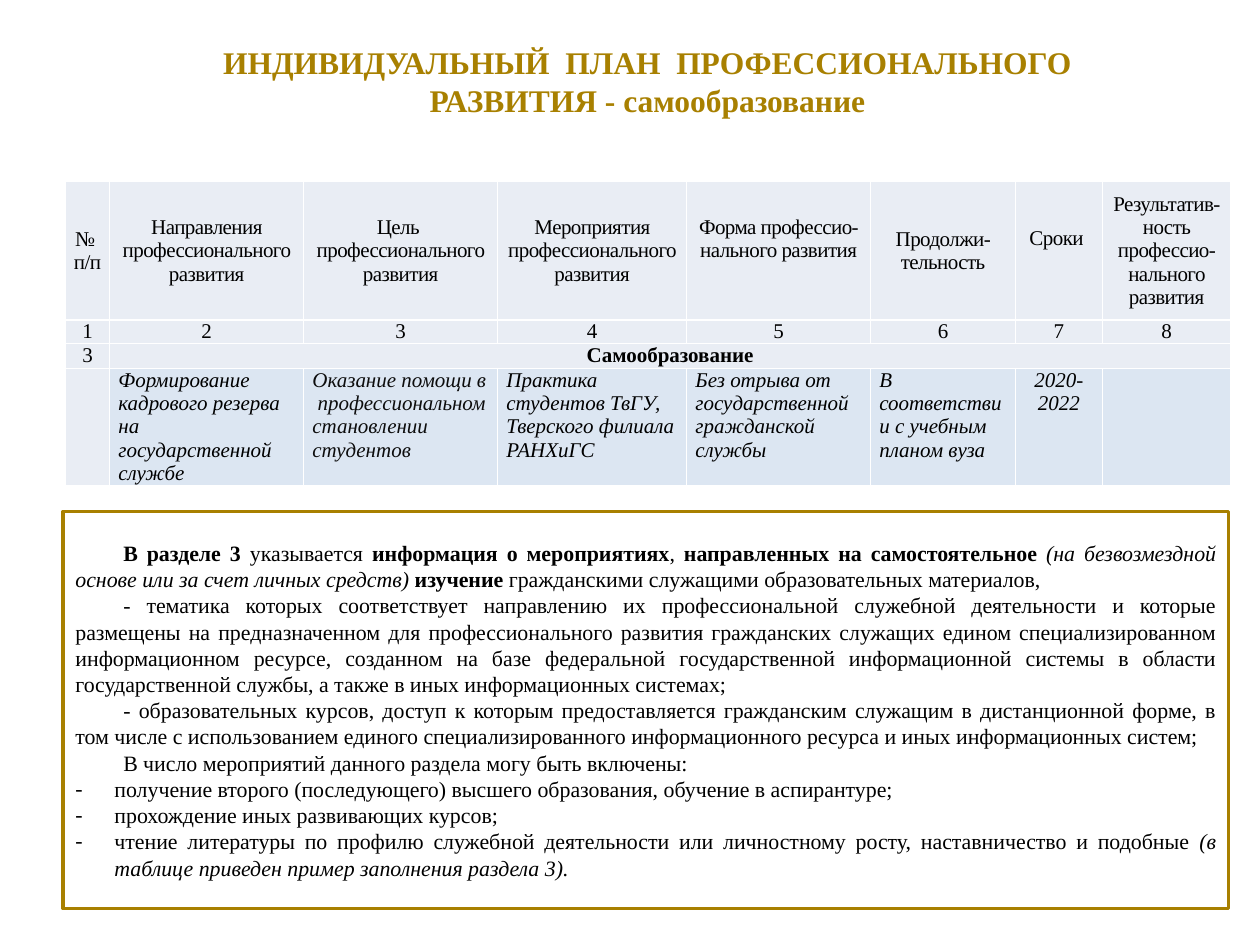
from dataclasses import dataclass

import pptx
import pptx.dml.color
import pptx.enum.shapes
import pptx.enum.text
import pptx.oxml
import pptx.oxml.ns
import pptx.util
from pptx.util import Inches, Pt

ALIGN = pptx.enum.text.PP_ALIGN
ANCHOR = pptx.enum.text.MSO_ANCHOR


@dataclass(frozen=True)
class Theme:
    font: str = "Times New Roman"
    gold: str = "A88000"
    ink: str = "000000"
    soft_ink: str = "0D0D0D"
    white: str = "FFFFFF"
    head_fill: str = "E9EDF4"
    entry_fill: str = "DCE6F2"
    title_size: float = 18
    table_size: float = 12
    table_leading: float = 13.3
    note_size: float = 12.5
    note_leading: float = 15


THEME = Theme()

COLUMNS = [0.35, 1.54, 1.54, 1.5, 1.46, 1.15, 0.69, 1.02]
ROWS = [1.1, 0.17, 0.2, 0.93]
HEADINGS = [
    "№ \nп/п",
    "Направления профессионального развития",
    "Цель \nпрофессионального развития",
    "Мероприятия профессионального развития",
    "Форма профессио-нального развития",
    "Продолжи-тельность",
    "Сроки ",
    "Результатив-ность профессио-нального развития",
]
RAISED_HEADINGS = (4, 6)  # columns whose heading sits one line higher
ENTRY = [
    "",
    "Формирование кадрового резерва на государственной службе",
    "Оказание помощи в  профессиональном становлении студентов",
    "Практика студентов ТвГУ, Тверского филиала РАНХиГС",
    "Без отрыва от государственной гражданской службы",
    "В соответствии с учебным планом вуза",
    "2020-2022",
    "",
]

# Each paragraph is a list of (text, style) runs: b bold, i italic
NOTE_TEXT = [
    [("В разделе 3 ", "b"), ("указывается ", ""), ("информация о мероприятиях", "b"), (", ", ""),
     ("направленных на самостоятельное ", "b"),
     ("(на безвозмездной основе или за счет личных средств)", "i"), (" изучение ", "b"),
     ("гражданскими служащими образовательных материалов, ", "")],
    [("- тематика которых соответствует направлению их профессиональной служебной деятельности "
      "и которые размещены на предназначенном для профессионального развития гражданских служащих "
      "едином специализированном информационном ресурсе, созданном на базе федеральной "
      "государственной информационной системы в области государственной службы, а также в иных "
      "информационных системах;", "")],
    [("- образовательных курсов, доступ к которым предоставляется гражданским служащим в "
      "дистанционной форме, в том числе с использованием единого специализированного "
      "информационного ресурса и иных информационных систем;", "")],
    [("В число мероприятий данного раздела могу быть включены: ", "")],
]
NOTE_LIST = [
    [("получение второго (последующего) высшего образования, обучение в аспирантуре;", "")],
    [("прохождение иных развивающих курсов;", "")],
    [("чтение литературы по профилю служебной деятельности или личностному росту, "
      "наставничество и подобные ", ""),
     ("(в таблице приведен пример заполнения раздела 3).", "i")],
]


def rgb(value):
    return pptx.dml.color.RGBColor.from_string(value)


def apply(target, formats):
    for name, value in formats.items():
        setattr(target, name, value)


def add_run(paragraph, text, size, color=THEME.ink, style=""):
    run = paragraph.add_run()
    run.text = text
    apply(run.font, {"name": THEME.font, "size": Pt(size),
                     "bold": "b" in style, "italic": "i" in style})
    run.font.color.rgb = rgb(color)
    return run


def next_paragraph(frame, index):
    return frame.add_paragraph() if index else frame.paragraphs[0]


def add_title(slide, box):
    title = slide.shapes.title
    apply(title, dict(zip(("left", "top", "width", "height"), box)))
    frame = title.text_frame
    apply(frame, {"word_wrap": True, "vertical_anchor": ANCHOR.TOP,
                  "auto_size": pptx.enum.text.MSO_AUTO_SIZE.NONE})
    heading = frame.paragraphs[0]
    heading.alignment = ALIGN.CENTER
    add_run(heading, "ИНДИВИДУАЛЬНЫЙ  ПЛАН  ПРОФЕССИОНАЛЬНОГО РАЗВИТИЯ - самообразование",
            THEME.title_size, THEME.gold, "b")


def set_borders(cell):
    properties = cell._tc.get_or_add_tcPr()
    for side in ("lnL", "lnR", "lnT", "lnB"):
        properties.append(pptx.oxml.parse_xml(
            f'<a:{side} {pptx.oxml.ns.nsdecls("a")} w="{Pt(1)}"><a:solidFill>'
            f'<a:srgbClr val="{THEME.white}"/></a:solidFill></a:{side}>'))


def fill_cell(cell, text, fill=THEME.head_fill, color=THEME.ink, style="",
              align=ALIGN.CENTER, anchor=ANCHOR.MIDDLE, side=0.06, bottom=0, spacing=0):
    set_borders(cell)
    cell.fill.solid()
    cell.fill.fore_color.rgb = rgb(fill)
    apply(cell, {"margin_left": Inches(side), "margin_right": Inches(side), "margin_top": 0,
                 "margin_bottom": Inches(bottom), "vertical_anchor": anchor})
    for index, line in enumerate(text.split("\n")):
        paragraph = next_paragraph(cell.text_frame, index)
        apply(paragraph, {"alignment": align, "line_spacing": Pt(THEME.table_leading)})
        paragraph.font.size = Pt(THEME.table_size)
        if line:
            run = add_run(paragraph, line, THEME.table_size, color, style)
            run.font._element.set("spc", str(round(spacing * 100)))


def add_plan_table(slide, box):
    plan = slide.shapes.add_table(len(ROWS), len(COLUMNS), *box).table
    for column, width in zip(plan.columns, COLUMNS):
        column.width = Inches(width)
    for row, height in zip(plan.rows, ROWS):
        row.height = Inches(height)

    # Headings and column numbers
    for index, heading in enumerate(HEADINGS):
        fill_cell(plan.cell(0, index), heading, spacing=-0.3,
                  bottom=0.19 if index in RAISED_HEADINGS else 0)
        fill_cell(plan.cell(1, index), str(index + 1), spacing=-0.3)

    # Section row
    plan.cell(2, 1).merge(plan.cell(2, len(COLUMNS) - 1))
    fill_cell(plan.cell(2, 0), "3", anchor=ANCHOR.TOP)
    fill_cell(plan.cell(2, 1), "Самообразование", style="b", anchor=ANCHOR.TOP)

    # Sample entry
    for index, text in enumerate(ENTRY):
        fill_cell(plan.cell(3, index), text, style="i", anchor=ANCHOR.TOP, side=0.07,
                  fill=THEME.entry_fill if index else THEME.head_fill,
                  color=THEME.soft_ink if index == 2 else THEME.ink,
                  align=ALIGN.CENTER if index == 6 else ALIGN.LEFT)


def set_indent(paragraph, margin, indent, bullet=None):
    properties = paragraph._p.get_or_add_pPr()
    properties.set("marL", str(Inches(margin)))
    properties.set("indent", str(Inches(indent)))
    if bullet:
        namespace = pptx.oxml.ns.nsdecls("a")
        properties.append(pptx.oxml.parse_xml(f'<a:buFont {namespace} typeface="{THEME.font}"/>'))
        properties.append(pptx.oxml.parse_xml(f'<a:buChar {namespace} char="{bullet}"/>'))


def add_note(slide, box):
    note = slide.shapes.add_shape(pptx.enum.shapes.MSO_SHAPE.RECTANGLE, *box)
    note.shadow.inherit = False
    note.fill.background()
    note.line.color.rgb = rgb(THEME.gold)
    note.line.width = Pt(2)
    frame = note.text_frame
    apply(frame, {"word_wrap": True, "vertical_anchor": ANCHOR.MIDDLE})
    for index, runs in enumerate(NOTE_TEXT + NOTE_LIST):
        paragraph = next_paragraph(frame, index)
        apply(paragraph, {"alignment": ALIGN.JUSTIFY, "line_spacing": Pt(THEME.note_leading)})
        if index < len(NOTE_TEXT):
            set_indent(paragraph, 0, 0.38)
        else:
            set_indent(paragraph, 0.31, -0.31, "-")
        for text, style in runs:
            add_run(paragraph, text, THEME.note_size, style=style)


def main():
    deck = pptx.Presentation()
    apply(deck, {"slide_width": Inches(10), "slide_height": Inches(7.5)})
    slide = deck.slides.add_slide(deck.slide_layouts[5])
    add_title(slide, (Inches(1.41), Inches(0.29), Inches(7.46), Inches(0.33)))
    add_plan_table(slide, (Inches(0.52), Inches(1.44), Inches(sum(COLUMNS)), Inches(sum(ROWS))))
    add_note(slide, (Inches(0.5), Inches(4.06), Inches(9.25), Inches(3.15)))
    deck.save("out.pptx")


if __name__ == "__main__":
    main()
